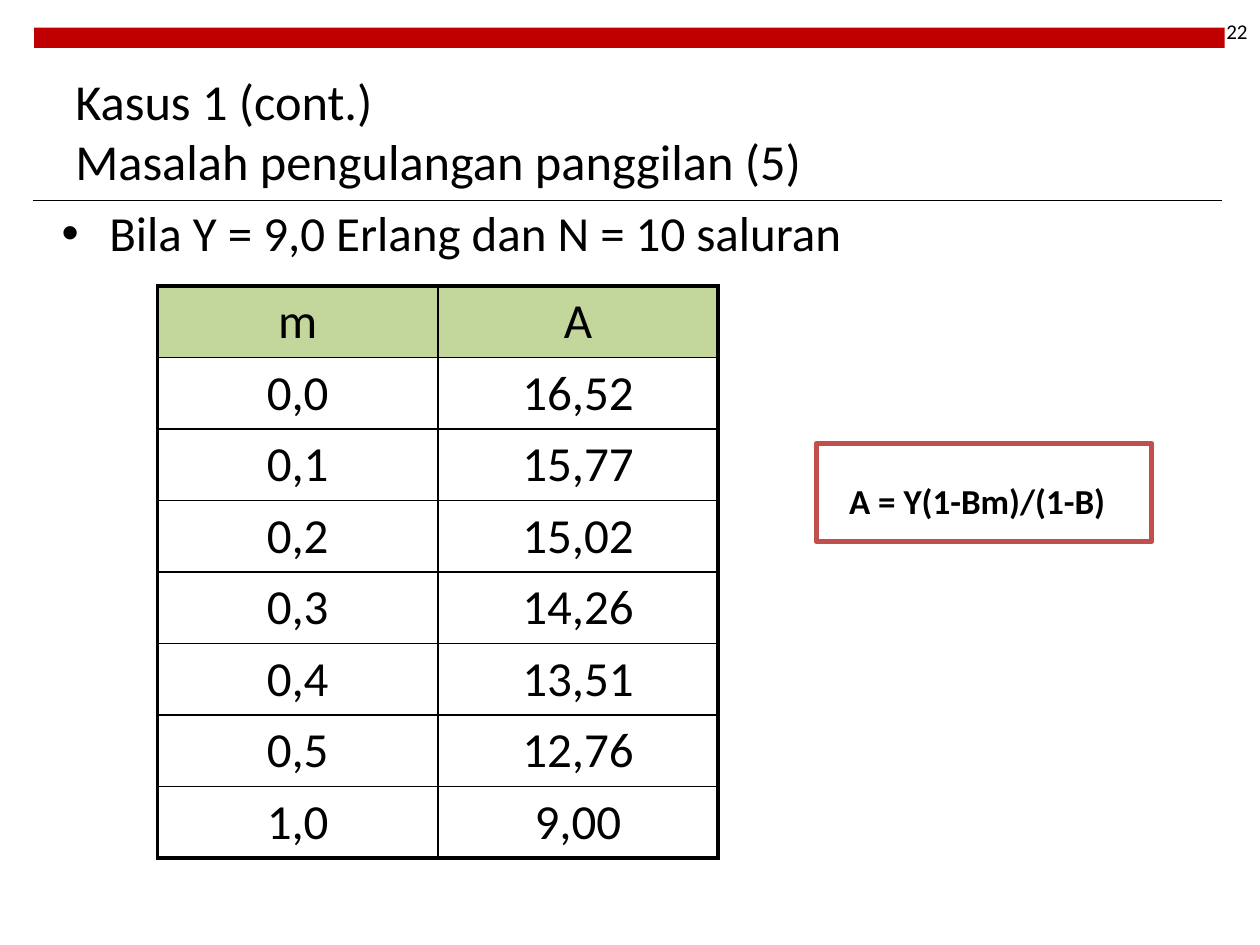
from dataclasses import dataclass

from lxml.etree import SubElement
from pptx import Presentation
from pptx.dml.color import RGBColor
from pptx.enum.shapes import MSO_CONNECTOR, MSO_SHAPE
from pptx.enum.text import MSO_ANCHOR as Anchor, PP_ALIGN as Align
from pptx.oxml.ns import qn
from pptx.util import Inches, Pt


@dataclass(frozen=True)
class Theme:
    font: str = "Calibri"
    ink: str = "000000"
    paper: str = "FFFFFF"
    banner: str = "C00000"
    header: str = "C3D69B"
    frame: str = "C0504D"
    number_size: float = 12
    title_size: float = 28.8
    body_size: float = 28
    formula_size: float = 20
    outer_border: float = 2.25
    inner_border: float = 1


THEME = Theme()
ROWS = [
    ("m", "A"),
    ("0,0", "16,52"),
    ("0,1", "15,77"),
    ("0,2", "15,02"),
    ("0,3", "14,26"),
    ("0,4", "13,51"),
    ("0,5", "12,76"),
    ("1,0", "9,00"),
]


def color(value):
    return RGBColor.from_string(value)


def write(paragraph, text, size, bold=False):
    """Add the text as runs, with a line break at each newline."""
    for index, line in enumerate(text.split("\n")):
        if index:
            paragraph.add_line_break()
        run = paragraph.add_run()
        run.text = line
        run.font.name = THEME.font
        run.font.size = Pt(size)
        run.font.bold = bold
        run.font.color.rgb = color(THEME.ink)


def add_text(slide, box, text, size, anchor=Anchor.TOP, align=Align.LEFT, bold=False):
    frame = slide.shapes.add_textbox(*map(Inches, box)).text_frame
    frame.word_wrap = True
    frame.vertical_anchor = anchor
    paragraph = frame.paragraphs[0]
    paragraph.alignment = align
    write(paragraph, text, size, bold)
    return paragraph


def add_bullet(paragraph, indent):
    properties = paragraph._p.get_or_add_pPr()
    properties.set("marL", str(Inches(indent)))
    properties.set("indent", str(-Inches(indent)))
    SubElement(properties, qn("a:buFont")).set("typeface", "Arial")
    SubElement(properties, qn("a:buChar")).set("char", "•")


def add_rectangle(slide, box, fill, outline=None):
    rectangle = slide.shapes.add_shape(MSO_SHAPE.RECTANGLE, *map(Inches, box))
    rectangle.shadow.inherit = False
    rectangle.fill.solid()
    rectangle.fill.fore_color.rgb = color(fill)
    if outline:
        rectangle.line.color.rgb = color(outline)
        rectangle.line.width = Pt(3)
    else:
        rectangle.line.fill.background()


def add_rule(slide, left, right, y):
    rule = slide.shapes.add_connector(
        MSO_CONNECTOR.STRAIGHT, Inches(left), Inches(y), Inches(right), Inches(y))
    rule.line.color.rgb = color(THEME.ink)
    rule.line.width = Pt(0.6)
    SubElement(rule._element.spPr, qn("a:effectLst"))


def set_borders(cell, outer_sides):
    """Draw heavy borders on the table's outer edge and thin ones inside."""
    properties = cell._tc.get_or_add_tcPr()
    for position, (side, is_outer) in enumerate(outer_sides.items()):
        width = THEME.outer_border if is_outer else THEME.inner_border
        border = properties.makeelement(qn(f"a:{side}"), {"w": str(Pt(width))})
        fill = SubElement(border, qn("a:solidFill"))
        SubElement(fill, qn("a:srgbClr")).set("val", THEME.ink)
        properties.insert(position, border)


def add_value_table(slide, box, rows):
    last_row, last_column = len(rows) - 1, len(rows[0]) - 1
    table = slide.shapes.add_table(
        len(rows), len(rows[0]), *map(Inches, box)).table
    table.horz_banding = False
    for r, values in enumerate(rows):
        for c, value in enumerate(values):
            cell = table.cell(r, c)
            if r == 0:
                cell.fill.solid()
                cell.fill.fore_color.rgb = color(THEME.header)
            else:
                cell.fill.background()
            paragraph = cell.text_frame.paragraphs[0]
            paragraph.alignment = Align.CENTER
            write(paragraph, value, THEME.body_size)
            set_borders(cell, {"lnL": c == 0, "lnR": c == last_column,
                               "lnT": r == 0, "lnB": r == last_row})


def main():
    deck = Presentation()
    deck.slide_width, deck.slide_height = Inches(10), Inches(7.5)
    slide = deck.slides.add_slide(deck.slide_layouts[6])

    # Banner, rule and page number
    add_rectangle(slide, (0.27, 0.22, 9.45, 0.16), THEME.banner)
    add_rule(slide, 0.26, 9.7, 1.59)
    add_text(slide, (9.25, 0, 0.75, 0.5), "22", THEME.number_size,
             Anchor.MIDDLE, Align.RIGHT)

    # Title and statement
    add_text(slide, (0.5, 0.52, 6.66, 1.03),
             "Kasus 1 (cont.)\nMasalah pengulangan panggilan (5)",
             THEME.title_size, Anchor.MIDDLE)
    statement = add_text(slide, (0.39, 1.56, 9, 5.31),
                         "Bila Y = 9,0 Erlang dan N = 10 saluran", THEME.body_size)
    add_bullet(statement, 0.38)

    # Values of A for each m
    add_value_table(slide, (1.25, 2.27, 4.45, 4.53), ROWS)

    # Framed formula
    add_rectangle(slide, (6.48, 3.52, 2.66, 0.78), THEME.paper, THEME.frame)
    formula = add_text(slide, (6.64, 3.59, 2.58, 0.62), "A = Y(1-Bm)/(1-B)",
                       THEME.formula_size, bold=True)
    formula.line_spacing = 1.5

    deck.save("out.pptx")


if __name__ == "__main__":
    main()
